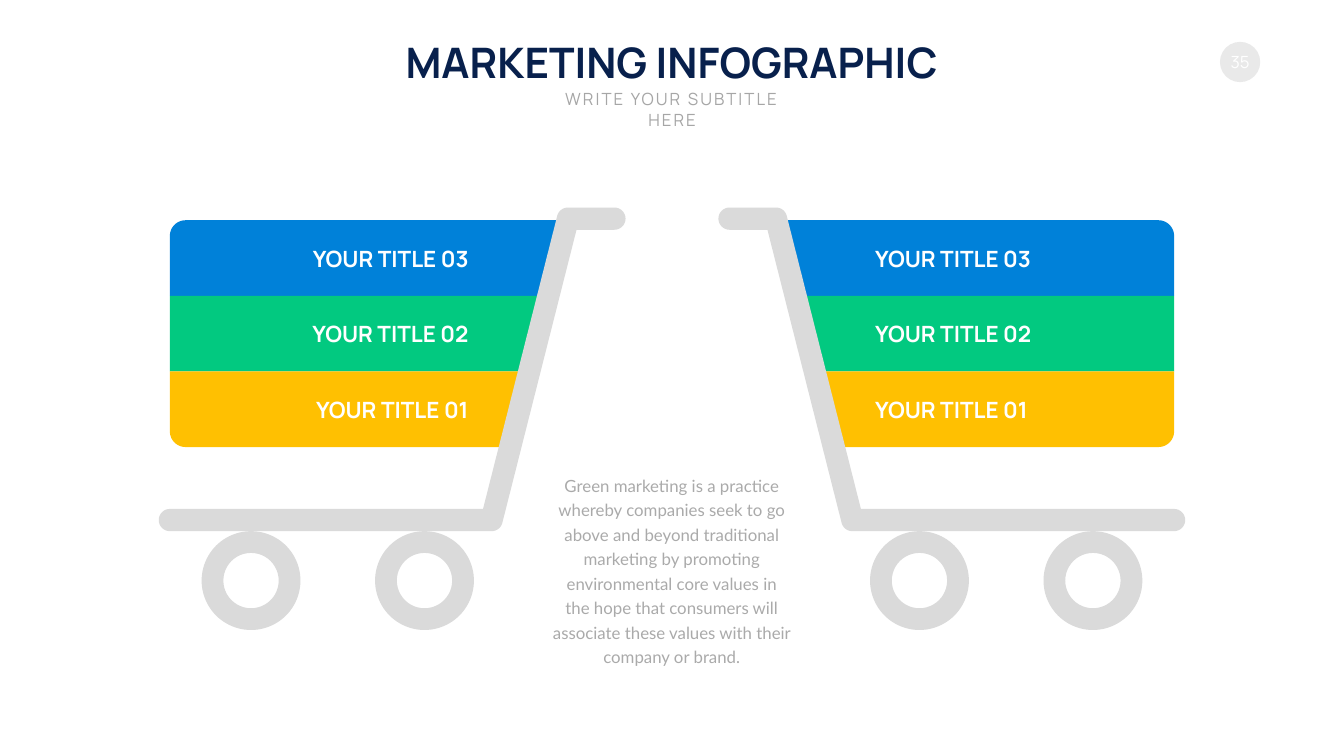
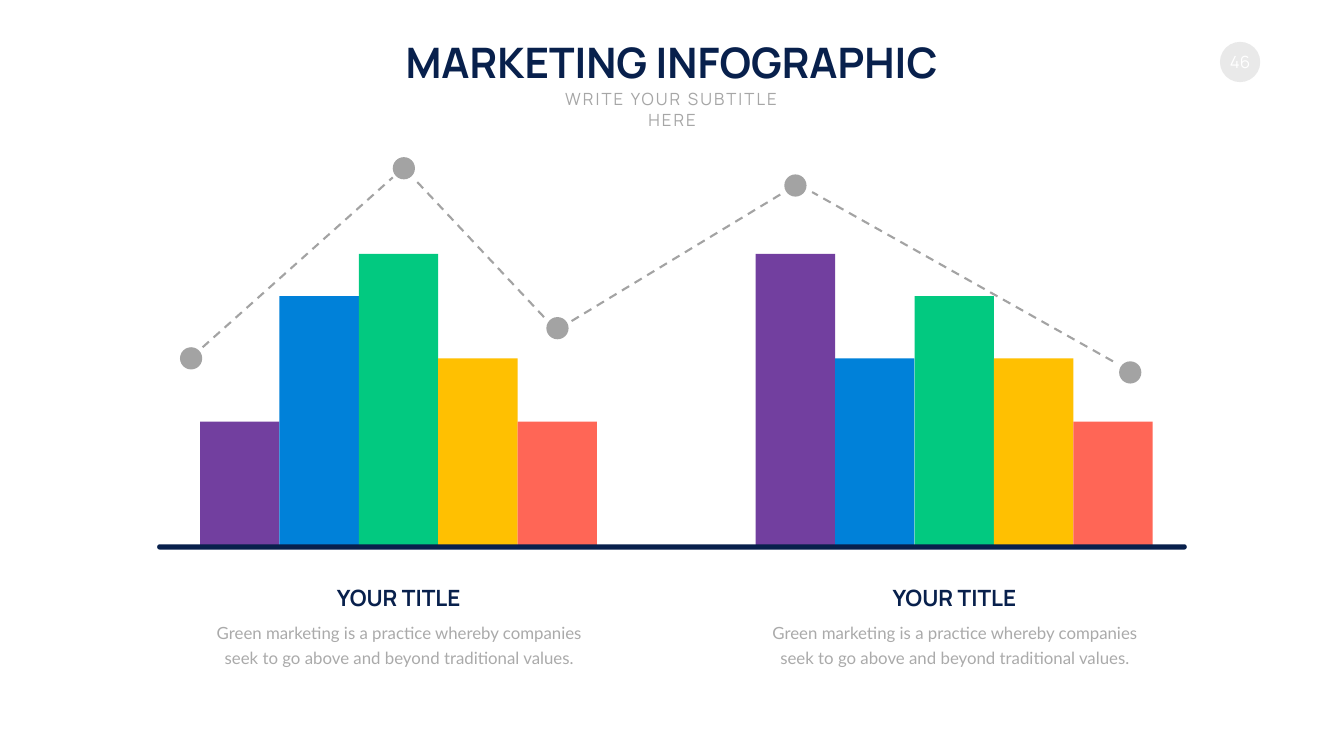
import math
from dataclasses import dataclass

import pptx
import pptx.util
from lxml import etree
from pptx.dml.color import RGBColor
from pptx.enum.dml import MSO_LINE
from pptx.enum.shapes import MSO_CONNECTOR, MSO_SHAPE
from pptx.enum.text import MSO_ANCHOR, PP_ALIGN
from pptx.oxml.ns import qn

Cm = pptx.util.Cm
Pt = pptx.util.Pt

# All plain lengths are centimetres.
WIDTH, HEIGHT = 67.72, 38.1
COLORS = {
    "navy": "08204C", "white": "FFFFFF", "badge": "E9E9E9",
    "subtitle": "A6A6A6", "body": "AAAAAA", "cart": "DADADA", "trend": "A3A3A3",
    "purple": "723F9F", "blue": "0081D9", "green": "02C980",
    "yellow": "FFC001", "red": "FF6656",
}
Point = tuple[float, float]


@dataclass
class Box:
    left: float
    top: float
    width: float
    height: float

    def lengths(self) -> list:
        return [Cm(v) for v in (self.left, self.top, self.width, self.height)]


@dataclass
class Style:
    size: float
    color: str
    font: str = "Manrope"
    bold: bool = False
    tracking: float = 0
    line: float = 0
    anchor: MSO_ANCHOR = MSO_ANCHOR.TOP
    wrap: bool = False


TITLE = Style(60, "navy", bold=True)
SUBTITLE = Style(24, "subtitle", tracking=3, wrap=True)
NUMBER = Style(24, "white", anchor=MSO_ANCHOR.MIDDLE)
HEADING = Style(32, "navy", bold=True, anchor=MSO_ANCHOR.MIDDLE)
ROW_LABEL = Style(32, "white", bold=True, anchor=MSO_ANCHOR.MIDDLE)
BODY = Style(24, "body", font="Lato", line=35, wrap=True)


@dataclass
class Row:
    label: str
    color: str
    label_width: float


ROWS = [
    Row("YOUR TITLE 03", "blue", 8.48),
    Row("YOUR TITLE 02", "green", 8.43),
    Row("YOUR TITLE 01", "yellow", 8.2),
]
ROW_LEFT, ROW_TOP, ROW_HEIGHT = 8.56, 11.1, 3.81
ROW_RIGHT, ROW_SLANT, ROW_RADIUS = 28.62, 1.12, 0.79
LABEL_EDGE, LABEL_TOP, LABEL_HEIGHT = 23.87, 12.19, 1.63
TUBE_RADIUS = 0.56
WHEEL_CENTERS, WHEEL_TOP, WHEEL_SIZE = (12.65, 21.39), 26.77, 4.98


@dataclass
class BarGroup:
    offset: float
    heights: tuple[float, ...]


BAR_COLORS = ("purple", "blue", "green", "yellow", "red")
BAR_GROUPS = [
    BarGroup(0, (6.31, 12.63, 14.76, 9.5, 6.31)),
    BarGroup(28, (14.76, 9.5, 12.63, 9.5, 6.31)),
]
BAR_LEFT, BAR_WIDTH, BASELINE = 10.08, 4.0, 27.56
DOT_SIZE = 1.12
DOTS = [(9.63, 18.06), (20.35, 8.48), (28.09, 16.54), (40.08, 9.35), (56.95, 18.77)]
DASHES = [
    ((10.21, 17.5), (19.79, 8.94)),
    ((28.8, 16.18), (39.52, 9.68)),
    ((27.41, 15.98), (20.9, 9.04)),
    ((56.08, 18.21), (40.92, 9.68)),
]


def rgb(name: str) -> RGBColor:
    return RGBColor.from_string(COLORS[name])


def paint(sp, color: str) -> None:
    sp.shadow.inherit = False
    sp.fill.solid()
    sp.fill.fore_color.rgb = rgb(color)
    sp.line.fill.background()


def add_preset(slide, kind: MSO_SHAPE, box: Box, color: str, adjust: float | None = None):
    sp = slide.shapes.add_shape(kind, *box.lengths())
    if adjust is not None:
        sp.adjustments[0] = adjust
    paint(sp, color)
    return sp


def add_outline(slide, points: list[Point], color: str) -> None:
    corners = [(Cm(x), Cm(y)) for x, y in points]
    builder = slide.shapes.build_freeform(*corners[0], scale=1.0)
    builder.add_line_segments(corners[1:], close=True)
    paint(builder.convert_to_shape(), color)


def write(sp, text: str, style: Style, align: PP_ALIGN = PP_ALIGN.CENTER) -> None:
    tf = sp.text_frame
    tf.word_wrap = style.wrap
    tf.vertical_anchor = style.anchor
    p = tf.paragraphs[0]
    p.text = text
    p.alignment = align
    if style.line:
        p.line_spacing = Pt(style.line)
    font = p.font
    font.name, font.size, font.bold = style.font, Pt(style.size), style.bold
    font.color.rgb = rgb(style.color)
    if style.tracking:
        font._rPr.set("spc", str(round(style.tracking * 100)))


def add_text(slide, box: Box, text: str, style: Style,
             align: PP_ALIGN = PP_ALIGN.CENTER) -> None:
    write(slide.shapes.add_textbox(*box.lengths()), text, style, align)


def add_dashed_line(slide, start: Point, end: Point) -> None:
    line = slide.shapes.add_connector(
        MSO_CONNECTOR.STRAIGHT, *(Cm(v) for v in (*start, *end)))
    line.line.color.rgb = rgb("trend")
    line.line.width = Pt(3)
    line.line.dash_style = MSO_LINE.DASH
    etree.SubElement(line._element.spPr, qn("a:effectLst"))


def arc(cx: float, cy: float, radius: float, start: float, end: float) -> list[Point]:
    """Points on a circle, with angles in degrees running clockwise from the right."""
    steps = 16
    angles = [math.radians(start + (end - start) * i / steps) for i in range(steps + 1)]
    return [(cx + radius * math.cos(a), cy + radius * math.sin(a)) for a in angles]


def mirror(points: list[Point]) -> list[Point]:
    return [(WIDTH - x, y) for x, y in points]


def row_outline(index: int) -> list[Point]:
    """Slanted row of the left cart; the first and last have a rounded left corner."""
    top, right = ROW_TOP + index * ROW_HEIGHT, ROW_RIGHT - index * ROW_SLANT
    bottom, center_x = top + ROW_HEIGHT, ROW_LEFT + ROW_RADIUS
    upper, lower = [(ROW_LEFT, top)], [(ROW_LEFT, bottom)]
    if index == 0:
        upper = arc(center_x, top + ROW_RADIUS, ROW_RADIUS, 180, 270)
    if index == len(ROWS) - 1:
        lower = arc(center_x, bottom - ROW_RADIUS, ROW_RADIUS, 90, 180)
    return upper + [(right, top), (right - ROW_SLANT, bottom)] + lower


def frame_outline() -> list[Point]:
    """Tube of the left cart: base, slanted post and handle."""
    return [
        *arc(24.77, 26.21, TUBE_RADIUS, 90, 14),
        (29.05, 11.58),
        *arc(30.96, 11.02, TUBE_RADIUS, 90, -90),
        *arc(28.62, 11.02, TUBE_RADIUS, 270, 194),
        (24.34, 25.65),
        *arc(8.56, 26.21, TUBE_RADIUS, 270, 90),
    ]


def add_cart(slide, mirrored: bool) -> None:
    side = mirror if mirrored else list
    for i, row in enumerate(ROWS):
        add_outline(slide, side(row_outline(i)), row.color)
    add_outline(slide, side(frame_outline()), "cart")
    for x, y in side([(x, WHEEL_TOP) for x in WHEEL_CENTERS]):
        box = Box(x - WHEEL_SIZE / 2, y, WHEEL_SIZE, WHEEL_SIZE)
        add_preset(slide, MSO_SHAPE.DONUT, box, "cart", 0.22)
    for i, row in enumerate(ROWS):
        left = WIDTH - LABEL_EDGE if mirrored else LABEL_EDGE - row.label_width
        box = Box(left, LABEL_TOP + i * ROW_HEIGHT, row.label_width, LABEL_HEIGHT)
        add_text(slide, box, row.label, ROW_LABEL,
                 PP_ALIGN.LEFT if mirrored else PP_ALIGN.RIGHT)


def add_bar_group(slide, group: BarGroup) -> None:
    for i, (height, color) in enumerate(zip(group.heights, BAR_COLORS)):
        left = BAR_LEFT + group.offset + i * BAR_WIDTH
        add_preset(slide, MSO_SHAPE.RECTANGLE,
                   Box(left, BASELINE - height, BAR_WIDTH, height), color)


def add_caption(slide, offset: float) -> None:
    add_text(slide, Box(10.57 + offset, 31.04, 19.08, 2.62),
             "Green marketing is a practice whereby companies seek to go above "
             "and beyond traditional values.", BODY)
    add_text(slide, Box(16.69 + offset, 29.31, 6.81, 1.63), "YOUR TITLE", HEADING)


def new_slide(prs, number: int):
    """Blank slide with the number badge, title and subtitle."""
    slide = prs.slides.add_slide(prs.slide_layouts[6])
    badge = add_preset(slide, MSO_SHAPE.OVAL, Box(61.47, 2.11, 2.03, 2.03), "badge")
    tf = badge.text_frame
    tf.margin_left = tf.margin_right = tf.margin_top = tf.margin_bottom = 0
    write(badge, str(number), NUMBER)
    add_text(slide, Box(19.58, 1.7, 28.52, 2.82), "MARKETING INFOGRAPHIC", TITLE)
    add_text(slide, Box(26.97, 4.37, 13.79, 1.27), "WRITE YOUR SUBTITLE HERE", SUBTITLE)
    return slide


def build_carts(prs) -> None:
    slide = new_slide(prs, 35)
    for mirrored in (True, False):
        add_cart(slide, mirrored)
    add_text(slide, Box(27.61, 23.62, 12.47, 10.11),
             "Green marketing is a practice whereby companies seek to go above and "
             "beyond traditional marketing by promoting environmental core values in "
             "the hope that consumers will associate these values with their company "
             "or brand.", BODY)


def build_bars(prs) -> None:
    slide = new_slide(prs, 46)
    for group in BAR_GROUPS:
        add_bar_group(slide, group)
    for x, y in DOTS:
        box = Box(x - DOT_SIZE / 2, y - DOT_SIZE / 2, DOT_SIZE, DOT_SIZE)
        add_preset(slide, MSO_SHAPE.OVAL, box, "trend")
    add_preset(slide, MSO_SHAPE.ROUNDED_RECTANGLE, Box(7.92, 27.43, 51.88, 0.27),
               "navy", 0.5)
    for start, end in DASHES:
        add_dashed_line(slide, start, end)
    for group in BAR_GROUPS:
        add_caption(slide, group.offset)


def main() -> None:
    prs = pptx.Presentation()
    prs.slide_width, prs.slide_height = Cm(WIDTH), Cm(HEIGHT)
    build_carts(prs)
    build_bars(prs)
    prs.save("out.pptx")


if __name__ == "__main__":
    main()
